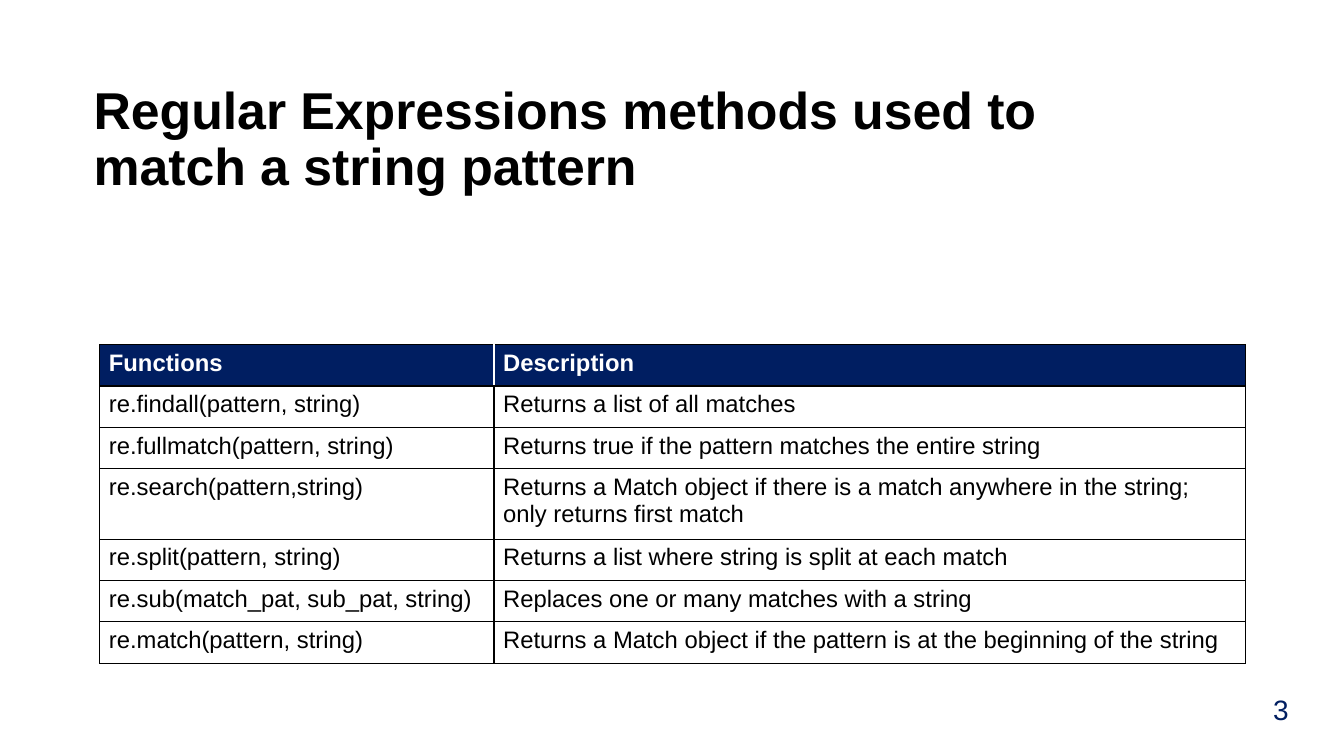
from dataclasses import dataclass

from lxml.etree import SubElement
from pptx import Presentation
from pptx.dml.color import RGBColor
from pptx.enum.shapes import MSO_SHAPE
from pptx.enum.text import MSO_ANCHOR, PP_ALIGN
from pptx.oxml.ns import qn
from pptx.util import Inches, Pt

NAVY, BLACK, WHITE = "001E61", "000000", "FFFFFF"


@dataclass
class Label:
    text: str
    box: tuple[float, float, float, float]
    size: int
    color: str
    bold: bool = False
    align: PP_ALIGN = PP_ALIGN.LEFT
    spacing: float = 1.0


@dataclass
class Method:
    function: str
    description: str
    height: float = 0.41


LABELS = [
    Label("3", (12.25, 6.56, 0.91, 0.96), 20, NAVY, align=PP_ALIGN.CENTER),
    Label("Regular Expressions methods used to match a string pattern",
          (0.83, 0.51, 10.9, 1.77), 37, BLACK, bold=True, spacing=0.9),
]

METHODS = [
    Method("Functions", "Description"),
    Method("re.findall(pattern, string)", "Returns a list of all matches"),
    Method("re.fullmatch(pattern, string)",
           "Returns true if the pattern matches the entire string"),
    Method("re.search(pattern,string)",
           "Returns a Match object if there is a match anywhere in the string; "
           "only returns first match", 0.7),
    Method("re.split(pattern, string)",
           "Returns a list where string is split at each match"),
    Method("re.sub(match_pat, sub_pat, string)",
           "Replaces one or many matches with a string"),
    Method("re.match(pattern, string)",
           "Returns a Match object if the pattern is at the beginning of the string"),
]


def rgb(color: str) -> RGBColor:
    return RGBColor.from_string(color)


def set_font(p, size: int, color: str, bold: bool) -> None:
    p.font.name = "Arial"
    p.font.size = Pt(size)
    p.font.bold = bold
    p.font.color.rgb = rgb(color)


def add_label(s, label: Label) -> None:
    tf = s.shapes.add_textbox(*map(Inches, label.box)).text_frame
    tf.word_wrap = True
    tf.vertical_anchor = MSO_ANCHOR.MIDDLE
    p = tf.paragraphs[0]
    p.text = label.text
    p.alignment = label.align
    p.line_spacing = label.spacing
    set_font(p, label.size, label.color, label.bold)


def set_borders(cell, colors: dict[str, str]) -> None:
    tc_pr = cell._tc.get_or_add_tcPr()
    for side, color in colors.items():
        ln = SubElement(tc_pr, qn(f"a:ln{side}"), w=str(Pt(1)))
        SubElement(SubElement(ln, qn("a:solidFill")), qn("a:srgbClr"), val=color)


def add_methods_table(s, methods: list[Method]) -> None:
    table = s.shapes.add_table(len(methods), 2, Inches(0.99), Inches(3.42),
                               Inches(11.36), Inches(3.18)).table
    table.horz_banding = False
    for column, width in zip(table.columns, (3.91, 7.45)):
        column.width = Inches(width)
    for row, method in enumerate(methods):
        table.rows[row].height = Inches(method.height)
        header = row == 0
        divider = WHITE if header else BLACK
        for col, text in enumerate((method.function, method.description)):
            cell = table.cell(row, col)
            set_borders(cell, {"L": divider if col == 1 else BLACK,
                               "R": divider if col == 0 else BLACK,
                               "T": BLACK, "B": BLACK})
            if header:
                cell.fill.solid()
                cell.fill.fore_color.rgb = rgb(NAVY)
            else:
                cell.fill.background()
            cell.margin_left = cell.margin_right = Inches(0.09)
            cell.margin_top = cell.margin_bottom = Inches(0.05)
            p = cell.text_frame.paragraphs[0]
            p.text = text
            set_font(p, 17, WHITE if header else BLACK, header)


def main() -> None:
    prs = Presentation()
    prs.slide_width, prs.slide_height = Inches(13.33), Inches(7.5)
    s = prs.slides.add_slide(prs.slide_layouts[6])

    # White title band
    band = s.shapes.add_shape(MSO_SHAPE.RECTANGLE, 0, 0, prs.slide_width, Inches(2.78))
    band.shadow.inherit = False
    band.fill.solid()
    band.fill.fore_color.rgb = rgb(WHITE)
    band.line.fill.background()

    # Page number and title
    for label in LABELS:
        add_label(s, label)

    # Methods and what they return
    add_methods_table(s, METHODS)

    prs.save("out.pptx")


if __name__ == "__main__":
    main()
